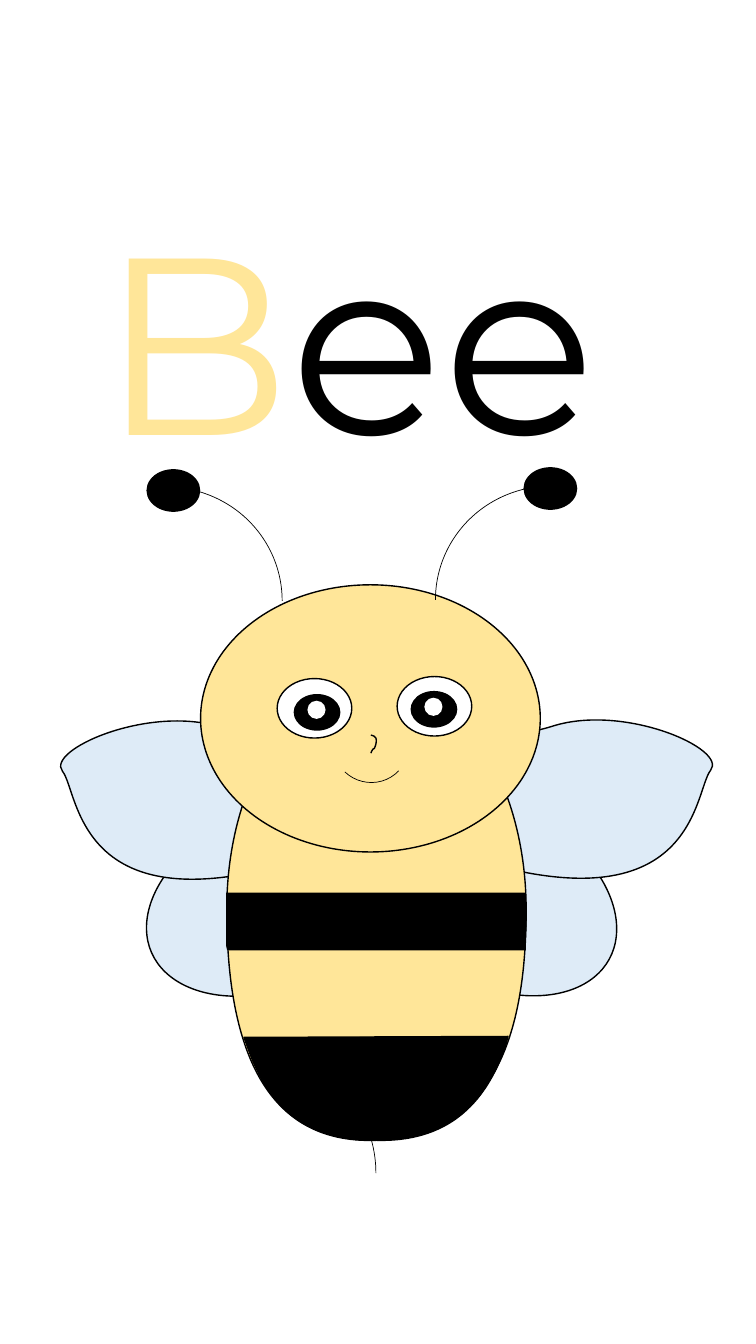
from math import cos, radians, sin

from lxml.etree import SubElement as Sub
from pptx import Presentation
from pptx.dml.color import RGBColor
from pptx.enum.shapes import MSO_SHAPE as Kind
from pptx.enum.text import MSO_ANCHOR as Anchor, MSO_AUTO_SIZE as Fit, PP_ALIGN as Align
from pptx.oxml.ns import qn
from pptx.util import Inches, Pt

# The slide is a grid of 750 columns by 1333 rows
CELL = Inches(0.01)
COLS, ROWS = 750, 1333

HONEY = RGBColor(0xFF, 0xE6, 0x99)
SKY = RGBColor(0xDE, 0xEB, 0xF7)
BLACK = RGBColor(0, 0, 0)
WHITE = RGBColor(0xFF, 0xFF, 0xFF)


def paint(shape, fill=None, line=1):
    shape.shadow.inherit = False
    if fill is None:
        shape.fill.background()
    else:
        shape.fill.solid()
        shape.fill.fore_color.rgb = fill
    if line:
        shape.line.color.rgb = BLACK
        shape.line.width = Pt(line)
    else:
        shape.line.fill.background()


def place(bee, kind, box, fill=None, line=1, turn=0, flip=None):
    shape = bee.add_shape(kind, *(n * CELL for n in box))
    shape.rotation = turn
    if flip:
        shape._element.spPr.xfrm.set(flip, "1")
    paint(shape, fill, line)


def oval(bee, box, fill, line=1, turn=0):
    place(bee, Kind.OVAL, box, fill, line, turn)


def arc(bee, box, turn=0, flip=None):
    place(bee, Kind.ARC, box, None, 0.5, turn, flip)


def trace(bee, x, y, box, steps, fill=None, turn=0, side=1):
    """Outline from (x, y) in a turned box: two numbers make a line, six a curve."""
    left, top, wide, high = box
    pen = bee.build_freeform((x + left) * CELL, (y + top) * CELL)
    pen.add_line_segments([((x + left + wide) * CELL, (y + top + high) * CELL)], close=False)
    shape = pen.convert_to_shape()
    shape.rotation = turn
    paint(shape, fill)

    # Write the path in the box as it lies before turning
    path = next(shape._element.iter(qn("a:path")))
    for part in list(path):
        path.remove(part)
    c, s = cos(radians(turn)), sin(radians(turn))
    for i, step in enumerate(steps):
        tag = "a:moveTo" if i == 0 else "a:lnTo" if len(step) == 2 else "a:cubicBezTo"
        move = Sub(path, qn(tag))
        for dx, dy in zip(step[::2], step[1::2]):
            dx, dy = side * dx - left - wide / 2, dy - top - high / 2
            spot = Sub(move, qn("a:pt"))
            spot.set("x", str(round((wide / 2 + c * dx + s * dy) * CELL)))
            spot.set("y", str(round((high / 2 - s * dx + c * dy) * CELL)))
    if fill is not None:
        Sub(path, qn("a:close"))


def title(slide, x, y, wide, high):
    head = slide.shapes.title
    head.left, head.top, head.width, head.height = (n * CELL for n in (x, y, wide, high))
    frame = head.text_frame
    frame.word_wrap = True
    frame.auto_size = Fit.SHAPE_TO_FIT_TEXT
    frame.vertical_anchor = Anchor.TOP
    line = frame.paragraphs[0]
    line.alignment = Align.LEFT
    for text, color in (("B", HONEY), ("ee", BLACK)):
        run = line.add_run()
        run.text = text
        run.font.name = "Montserrat"
        run.font.size = Pt(180)
        run.font.color.rgb = color


def wing(bee, x, y, side, low, turn):
    """Lower and upper wing; side -1 mirrors the upper one."""
    oval(bee, (x + low[0], y + low[1], 270, 177), SKY, turn=turn)
    left = -87 if side > 0 else -265
    trace(bee, x, y, (left, -131, 351, 174),
          [(0, 0), (245, 84, 241, -60, 258, -81),
           (275, -102, 173, -147, 102, -125),
           (31, -102, -245, -84, 0, 0)], SKY, -17.5 * side, side)


def body(bee, x, y):
    # Stinger, then the trunk over it
    arc(bee, (x - 82, y + 373, 230, 237))
    trace(bee, x, y, (-82, 81, 459, 297),
          [(148, 459), (32, 463, 0, 356, 0, 230),
           (0, 103, 66, 0, 148, 0), (230, 0, 297, 103, 297, 230),
           (297, 356, 264, 455, 148, 459)], HONEY, 270)


def bands(bee, x, y):
    # Stripe and tail
    trace(bee, x, y, (0, 214, 297, 57),
          [(0, 214), (296, 214), (297, 236),
           (297, 246, 296, 256, 296, 266), (296, 270), (1, 270),
           (0, 266), (0, 256, 0, 246, 0, 236), (0, 214)], BLACK)
    trace(bee, x, y, (17, 356, 262, 103),
          [(279, 356), (17, 357), (20, 365), (39, 420, 71, 459, 148, 459),
           (218, 461, 256, 424, 276, 367), (279, 356)], BLACK)


def eye(bee, x, y, dx, dy):
    oval(bee, (x, y, 74, 59), WHITE)
    oval(bee, (x + dx, y + dy, 45, 35), BLACK)
    oval(bee, (x + dx + 13, y + dy + 6, 18, 18), WHITE, line=0)


def face(bee, x, y):
    oval(bee, (x, y, 337, 265), HONEY)
    # Feelers: stalk and tip
    for stalk, tip, flip in (((233, -98), (321, -116), "flipH"),
                             ((-149, -97), (-53, -114), None)):
        arc(bee, (x + stalk[0], y + stalk[1], 230, 226), flip=flip)
        oval(bee, (x + tip[0], y + tip[1], 52, 41), BLACK)
    # Eyes, mouth and nose
    eye(bee, x + 195, y + 91, 14, 15)
    eye(bee, x + 76, y + 93, 17, 16)
    arc(bee, (x + 131, y + 121, 76, 75), 43.5, "flipV")
    trace(bee, x + 169, y + 149, (0, 0, 6, 18),
          [(0, 0), (2, 1, 5, 1, 5, 3), (6, 5, 5, 10, 4, 12),
           (4, 14, 3, 13, 2, 14), (1, 15, 0, 18, 0, 18)])


def main():
    deck = Presentation()
    deck.slide_width, deck.slide_height = COLS * CELL, ROWS * CELL
    slide = deck.slides.add_slide(deck.slide_layouts[5])
    title(slide, 90, 177, 793, 313)
    bee = slide.shapes.add_group_shape().shapes
    wing(bee, 447, 845, 1, (-96, -47), 28.7)
    wing(bee, 320, 846, -1, (-181, -44), 336.3)
    body(bee, 225, 672)
    face(bee, 199, 580)
    bands(bee, 225, 672)
    deck.save("out.pptx")


if __name__ == "__main__":
    main()
